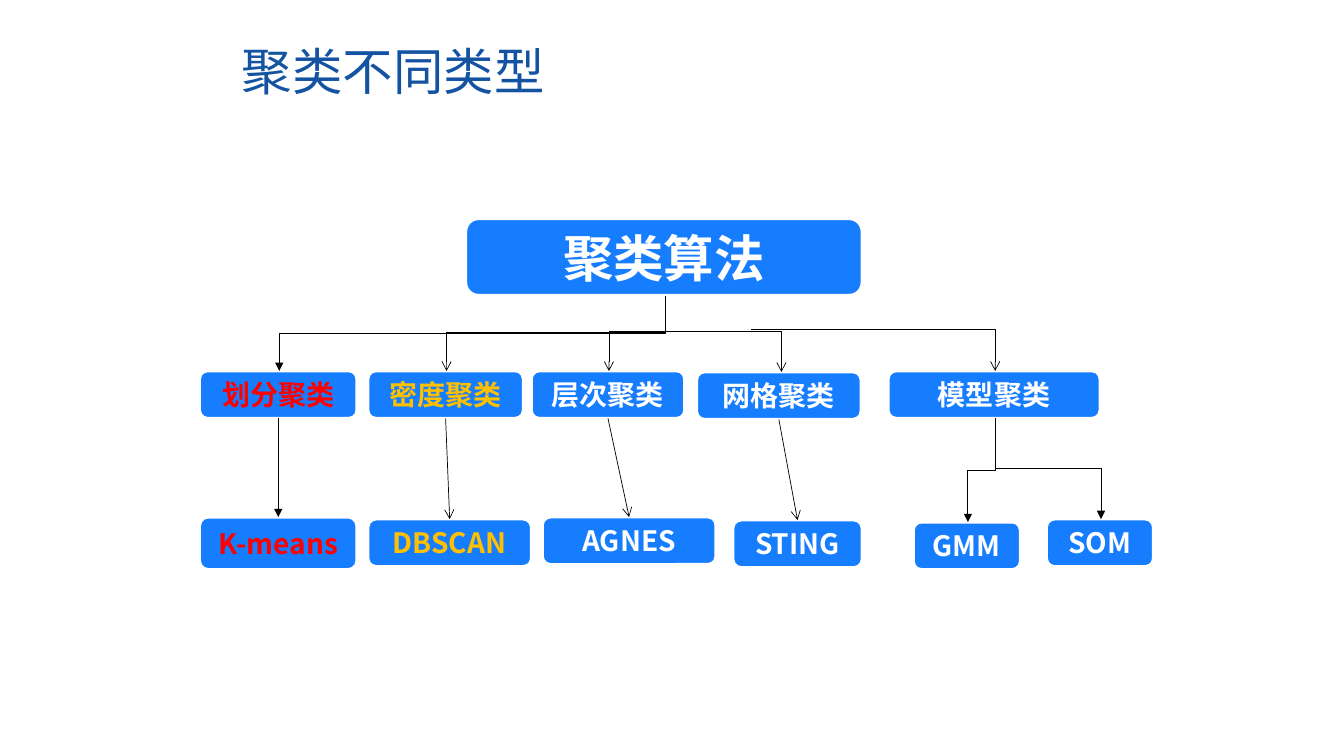
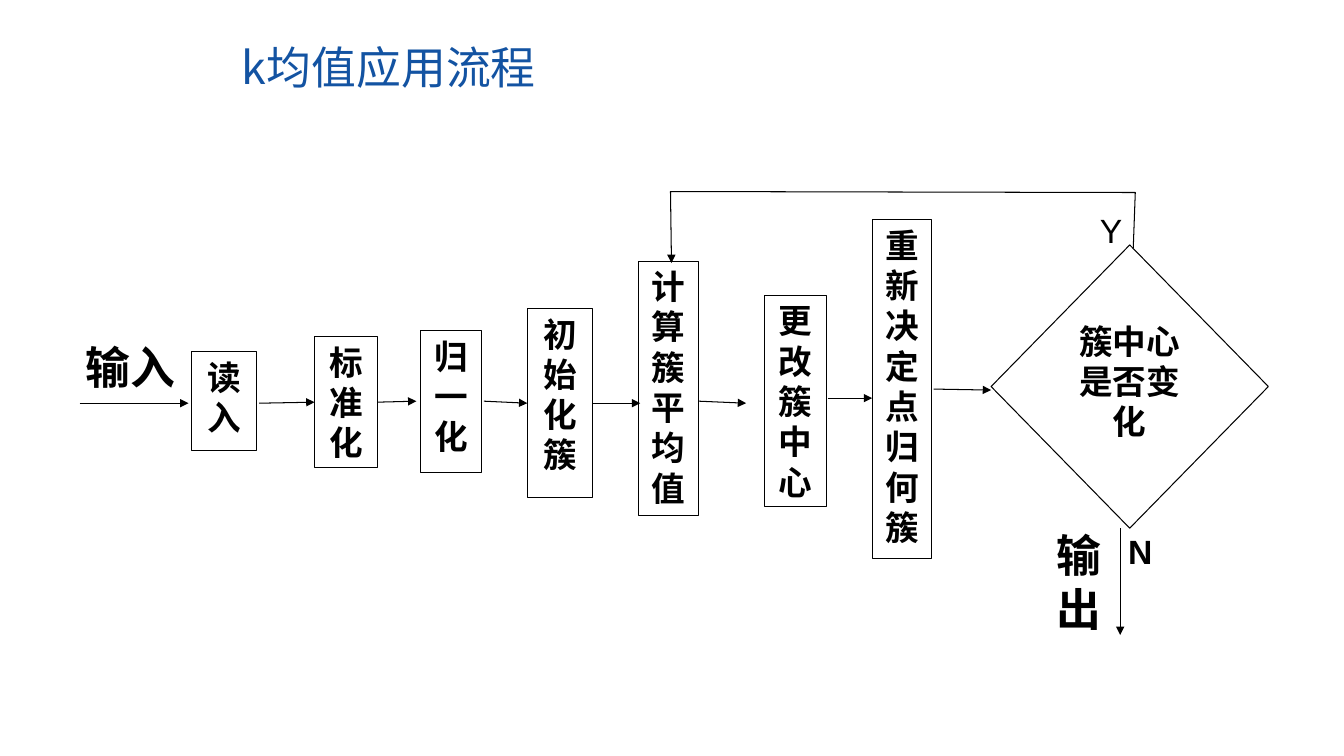
"""Build two slides on clustering: a tree of algorithm types and the k-means workflow."""
from dataclasses import dataclass
from typing import Optional

import lxml.etree
import pptx
import pptx.dml.color
import pptx.enum.shapes
import pptx.enum.text
import pptx.oxml.ns
import pptx.util

Inches = pptx.util.Inches
Pt = pptx.util.Pt
RGBColor = pptx.dml.color.RGBColor
Shapes = pptx.enum.shapes.MSO_SHAPE
Connectors = pptx.enum.shapes.MSO_CONNECTOR
Align = pptx.enum.text.PP_ALIGN
Anchor = pptx.enum.text.MSO_ANCHOR
qn = pptx.oxml.ns.qn

TITLE_BLUE = RGBColor(0x13, 0x53, 0xA2)
BOX_BLUE = RGBColor(0x17, 0x7D, 0xFF)
WHITE = RGBColor(0xFF, 0xFF, 0xFF)
BLACK = RGBColor(0, 0, 0)
RED = RGBColor(0xFF, 0, 0)
AMBER = RGBColor(0xFF, 0xC0, 0)
CJK_FONT = "Noto Sans CJK SC"
LATIN_FONT = "Arial"
TOP, LEFT, BOTTOM, RIGHT = range(4)
Point = tuple[float, float]


@dataclass(frozen=True)
class Box:
    text: str
    left: float
    top: float
    width: float
    height: float
    color: RGBColor = WHITE
    size: int = 20


@dataclass(frozen=True)
class Elbow:
    start: Point
    end: Point
    head: str = "arrow"
    width: float = 0.5


@dataclass(frozen=True)
class Flow:
    start: Point
    end: Point
    source: Optional[str] = None
    target: Optional[str] = None


@dataclass(frozen=True)
class Label:
    text: str
    left: float
    top: float
    width: float
    size: int
    bold: bool = True


TREE_BOXES = [
    Box("聚类算法", 4.62, 2.17, 3.93, 0.76, size=36),
    Box("划分聚类", 1.98, 3.68, 1.56, 0.47, RED),
    Box("密度聚类", 3.65, 3.68, 1.54, 0.47, AMBER),
    Box("层次聚类", 5.27, 3.68, 1.52, 0.47),
    Box("网格聚类", 6.91, 3.69, 1.63, 0.47),
    Box("模型聚类", 8.81, 3.68, 2.1, 0.47),
    Box("K-means", 1.98, 5.13, 1.56, 0.52, RED),
    Box("DBSCAN", 3.65, 5.15, 1.62, 0.47, AMBER),
    Box("AGNES", 5.38, 5.13, 1.72, 0.47),
    Box("STING", 7.27, 5.16, 1.28, 0.47),
    Box("GMM", 9.06, 5.18, 1.06, 0.47),
    Box("SOM", 10.38, 5.15, 1.06, 0.47),
]
TREE_LINKS = [
    ("划分聚类", "K-means", "triangle", 0.75),
    ("密度聚类", "DBSCAN", "arrow", 0.5),
    ("层次聚类", "AGNES", "arrow", 0.5),
    ("网格聚类", "STING", "arrow", 0.5),
]
DROPS = [
    Elbow((6.6, 2.94), (2.77, 3.68), "triangle", 0.75),
    Elbow((9.87, 4.15), (9.6, 5.18), "triangle", 0.75),
    Elbow((9.87, 4.15), (10.92, 5.15), "triangle", 0.75),
]
CORNERS = [
    Elbow((6.6, 3.3), (4.43, 3.68)),
    Elbow((6.6, 3.29), (6.04, 3.68)),
    Elbow((6.6, 3.29), (7.75, 3.69)),
    Elbow((7.45, 3.27), (9.87, 3.68)),
]
STEPS = [
    Box("读入", 1.9, 3.49, 0.64, 0.98),
    Box("标准化", 3.12, 3.34, 0.62, 1.3),
    Box("归一化", 4.17, 3.28, 0.61, 1.41),
    Box("初始化簇", 5.23, 3.06, 0.65, 1.88),
    Box("计算簇平均值", 6.33, 2.59, 0.6, 2.52),
    Box("更改簇中心", 7.58, 2.93, 0.62, 2.1),
    Box("重新决定点归何簇", 8.65, 2.18, 0.59, 3.36),
]
DECISION = Box("簇中心是否变化", 9.83, 2.43, 2.75, 2.81)
FLOWS = [
    Flow((0.79, 4), (1.87, 4)),
    Flow((2.57, 4), (3.11, 4), target="标准化"),
    Flow((3.74, 3.98), (4.13, 3.98), source="标准化"),
    Flow((4.8, 3.98), (5.24, 4), target="初始化簇"),
    Flow((5.88, 4), (6.35, 4), source="初始化簇"),
    Flow((6.93, 3.98), (7.4, 4)),
    Flow((8.21, 3.95), (8.65, 3.95)),
    Flow((9.26, 3.86), (9.83, 3.87)),
    Flow((11.11, 5.24), (11.11, 6.3)),
]
LABELS = [
    Label("输出", 10.38, 5.19, 0.71, 32),
    Label("N", 11.09, 5.22, 0.43, 24),
    Label("输入", 0.75, 3.32, 1.51, 32),
    Label("Y", 10.81, 2.03, 0.43, 24, False),
]
FEEDBACK = [(11.24, 2.46), (11.26, 1.91), (6.65, 1.9), (6.66, 2.61)]


def write(shape, text: str, size: int, color: RGBColor, font: str,
          bold: bool = True, align=Align.CENTER):
    """Put one formatted paragraph into a shape and return it."""
    shape.text_frame.text = text
    shape.text_frame.word_wrap = True
    para = shape.text_frame.paragraphs[0]
    para.alignment = align
    para.font.size = Pt(size)
    para.font.bold = bold
    para.font.color.rgb = color
    para.font.name = font
    defaults = para.font._element if hasattr(para.font, "_element") else para.font._rPr
    lxml.etree.SubElement(defaults, qn("a:ea")).set("typeface", font)
    return para


def style_line(shape, head: str, width: float) -> None:
    """Give a line its colour, width and arrowhead, without a shadow."""
    shape.line.color.rgb = BLACK
    shape.line.width = Pt(width)
    properties = shape.element.spPr
    lxml.etree.SubElement(properties.get_or_add_ln(), qn("a:tailEnd")).set("type", head)
    if properties.find(qn("a:effectLst")) is None:
        lxml.etree.SubElement(properties, qn("a:effectLst"))


def add_line(page, start: Point, end: Point, head: str, width: float,
             kind=Connectors.STRAIGHT):
    """Draw an arrow between two points."""
    line = page.shapes.add_connector(kind, *(Inches(value) for value in start + end))
    style_line(line, head, width)
    return line


def add_drop(page, elbow: Elbow) -> None:
    """Draw an elbow that goes down, across and down again."""
    (x1, y1), (x2, y2) = elbow.start, elbow.end
    middle_x, middle_y = (x1 + x2) / 2, (y1 + y2) / 2
    half_x, half_y = (x2 - x1) / 2, (y2 - y1) / 2
    line = add_line(page, (middle_x - half_y, middle_y + half_x),
                    (middle_x + half_y, middle_y - half_x),
                    elbow.head, elbow.width, Connectors.ELBOW)
    line.element.spPr.find(qn("a:xfrm")).set("rot", "5400000")


def add_corner(page, elbow: Elbow) -> None:
    """Draw an elbow that goes across and then down."""
    line = add_line(page, elbow.start, elbow.end, elbow.head, elbow.width, Connectors.ELBOW)
    line.element.spPr.find(qn("a:prstGeom")).set("prst", "bentConnector2")


def add_shape(page, kind, box: Box):
    """Add a preset shape at the place of a box."""
    shape = page.shapes.add_shape(kind, Inches(box.left), Inches(box.top),
                                  Inches(box.width), Inches(box.height))
    shape.shadow.inherit = False
    return shape


def add_tree_box(page, box: Box):
    """Add a blue rounded box of the tree."""
    shape = add_shape(page, Shapes.ROUNDED_RECTANGLE, box)
    shape.fill.solid()
    shape.fill.fore_color.rgb = BOX_BLUE
    shape.line.color.rgb = WHITE
    shape.line.width = Pt(2)
    frame = shape.text_frame
    frame.margin_left = frame.margin_right = Inches(0.09)
    frame.margin_top = frame.margin_bottom = Inches(0.04)
    write(shape, box.text, box.size, box.color, CJK_FONT)
    return shape


def add_step(page, box: Box, kind=Shapes.RECTANGLE):
    """Add an outlined step of the workflow."""
    shape = add_shape(page, kind, box)
    shape.fill.background()
    shape.line.color.rgb = BLACK
    shape.line.width = Pt(0.75)
    shape.text_frame.vertical_anchor = Anchor.TOP
    write(shape, box.text, 24, BLACK, LATIN_FONT)
    return shape


def add_page(deck, title: str, size: int):
    """Add a slide with the shared title style and return it with the title paragraph."""
    page = deck.slides.add_slide(deck.slide_layouts[5])
    holder = page.shapes.title
    holder.left, holder.top = Inches(2.3), Inches(0.34)
    holder.width, holder.height = Inches(7.12), Inches(0.71)
    holder.text_frame.vertical_anchor = Anchor.MIDDLE
    holder.text_frame.auto_size = pptx.enum.text.MSO_AUTO_SIZE.NONE
    return page, write(holder, title, size, TITLE_BLUE, CJK_FONT, False, Align.LEFT)


def build_tree(deck) -> None:
    """Draw the tree of clustering types."""
    page, _ = add_page(deck, "聚类不同类型", 36)
    boxes = {box.text: add_tree_box(page, box) for box in TREE_BOXES}
    for source, target, head, width in TREE_LINKS:
        line = add_line(page, (0, 0), (0, 0), head, width)
        line.begin_connect(boxes[source], BOTTOM)
        line.end_connect(boxes[target], TOP)
    for elbow in DROPS:
        add_drop(page, elbow)
    for elbow in CORNERS:
        add_corner(page, elbow)


def build_workflow(deck) -> None:
    """Draw the k-means workflow with its feedback loop."""
    page, title = add_page(deck, "k均值应用流程", 32)
    title.line_spacing = 0.9
    for label in LABELS:
        box = page.shapes.add_textbox(Inches(label.left), Inches(label.top),
                                      Inches(label.width), Inches(0.67))
        write(box, label.text, label.size, BLACK, LATIN_FONT, label.bold, Align.LEFT)
    steps = {box.text: add_step(page, box) for box in STEPS}
    add_step(page, DECISION, Shapes.FLOWCHART_DECISION)
    for flow in FLOWS:
        line = add_line(page, flow.start, flow.end, "triangle", 0.75)
        if flow.source:
            line.begin_connect(steps[flow.source], RIGHT)
        if flow.target:
            line.end_connect(steps[flow.target], LEFT)
    points = [(Inches(x), Inches(y)) for x, y in FEEDBACK]
    builder = page.shapes.build_freeform(*points[0])
    builder.add_line_segments(points[1:], close=False)
    loop = builder.convert_to_shape()
    loop.fill.background()
    style_line(loop, "triangle", 0.75)


def main() -> None:
    """Build and save the deck."""
    deck = pptx.Presentation()
    deck.slide_width, deck.slide_height = Inches(13.33), Inches(7.5)
    build_tree(deck)
    build_workflow(deck)
    deck.save("out.pptx")


if __name__ == "__main__":
    main()
